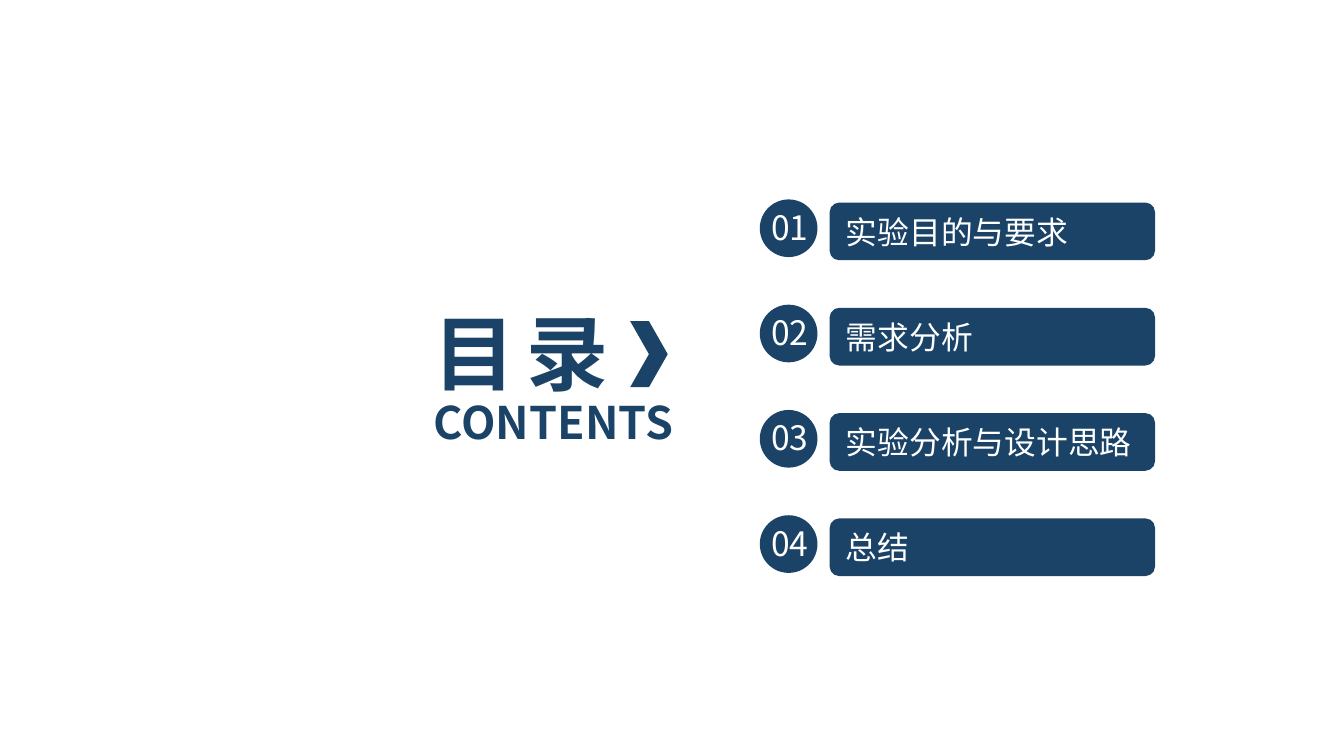
"""Build a contents slide with four numbered sections."""
import dataclasses
import typing

import lxml.etree
import pptx
import pptx.dml.color
import pptx.enum.shapes
import pptx.enum.text
import pptx.oxml.ns
import pptx.util

Cm = pptx.util.Cm
Kind = pptx.enum.shapes.MSO_SHAPE
Align = pptx.enum.text.PP_ALIGN


@dataclasses.dataclass(frozen=True)
class Theme:
    navy: str = "1B4367"
    white: str = "FFFFFF"
    font: str = "Noto Sans CJK SC"
    title_size: int = 44
    subtitle_size: int = 24
    number_size: int = 18
    section_size: int = 17
    title_tracking: int = -220


class Area(typing.NamedTuple):
    left: float
    top: float
    width: float
    height: float

    def down(self, distance: float) -> "Area":
        return self._replace(top=self.top + distance)

    def lengths(self) -> list[pptx.util.Length]:
        return [Cm(value) for value in self]


@dataclasses.dataclass(frozen=True)
class Section:
    number: int
    heading: str


THEME = Theme()
HEADINGS = ("实验目的与要求", "需求分析", "实验分析与设计思路", "总结")
SECTION_PITCH = 1.99
BAR = Area(15.68, 3.83, 6.15, 1.09)
CIRCLE = Area(14.36, 3.77, 1.09, 1.09)
NUMBER = Area(14.27, 3.78, 1.32, 1.02)
TITLE = Area(7.95, 5.59, 5.97, 2.13)
SUBTITLE = Area(7.95, 7.34, 5.87, 1.27)
CHEVRON = Area(11.91, 6.07, 0.71, 1.25)


def write_text(box, text: str, *, size: int, color: str, bold: bool = False,
               align: Align = Align.LEFT, tracking: int = 0) -> None:
    frame = box.text_frame
    frame.word_wrap = True
    frame.vertical_anchor = pptx.enum.text.MSO_ANCHOR.MIDDLE
    para = frame.paragraphs[0]
    para.alignment = align
    span = para.add_run()
    span.text = text
    span.font.size = pptx.util.Pt(size)
    span.font.bold = bold
    span.font.name = THEME.font
    span.font.color.rgb = pptx.dml.color.RGBColor.from_string(color)
    properties = span.font._element
    east_asian = lxml.etree.SubElement(properties, pptx.oxml.ns.qn("a:ea"))
    east_asian.set("typeface", THEME.font)
    if tracking:
        properties.set("spc", str(tracking))


def add_solid(shapes, kind: Kind, area: Area):
    shape = shapes.add_shape(kind, *area.lengths())
    shape.shadow.inherit = False
    shape.fill.solid()
    shape.fill.fore_color.rgb = pptx.dml.color.RGBColor.from_string(THEME.navy)
    shape.line.fill.background()
    return shape


def add_label(shapes, area: Area, text: str, **text_format) -> None:
    write_text(shapes.add_textbox(*area.lengths()), text, **text_format)


def add_section(shapes, section: Section) -> None:
    offset = (section.number - 1) * SECTION_PITCH
    bar = add_solid(shapes, Kind.ROUNDED_RECTANGLE, BAR.down(offset))
    write_text(bar, section.heading, size=THEME.section_size, color=THEME.white)
    badge = shapes.add_group_shape().shapes
    add_solid(badge, Kind.OVAL, CIRCLE.down(offset))
    add_label(badge, NUMBER.down(offset), f"{section.number:02d}",
              size=THEME.number_size, color=THEME.white, align=Align.CENTER)


def main() -> None:
    deck = pptx.Presentation()
    deck.slide_width, deck.slide_height = Cm(25.4), Cm(14.29)
    page = deck.slides.add_slide(deck.slide_layouts[6])
    add_label(page.shapes, TITLE, "目 录", size=THEME.title_size,
              color=THEME.navy, bold=True, tracking=THEME.title_tracking)
    add_label(page.shapes, SUBTITLE, "CONTENTS", size=THEME.subtitle_size,
              color=THEME.navy, bold=True)
    for number, heading in enumerate(HEADINGS, start=1):
        add_section(page.shapes, Section(number, heading))
    add_solid(page.shapes, Kind.CHEVRON, CHEVRON)
    deck.save("out.pptx")


if __name__ == "__main__":
    main()
